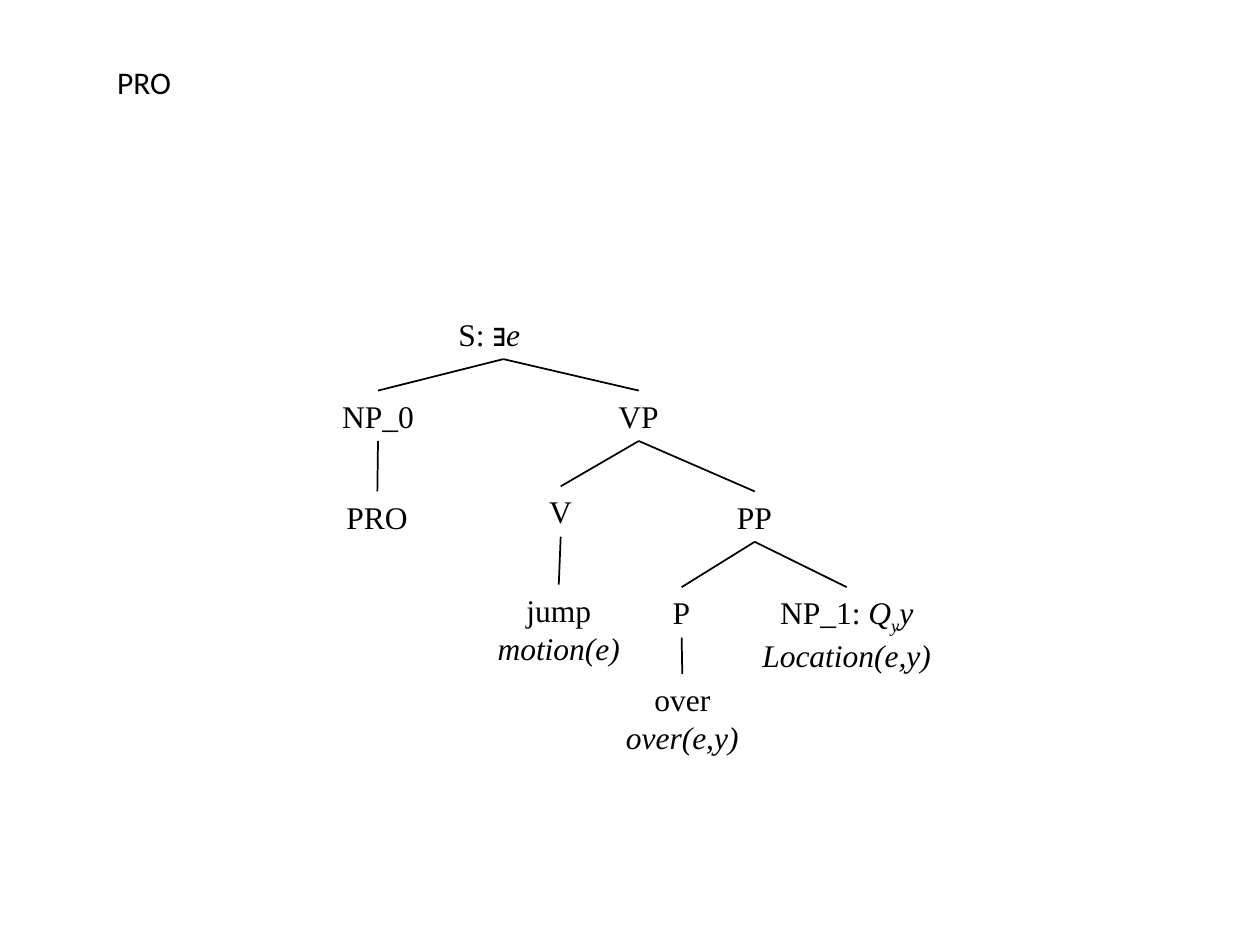
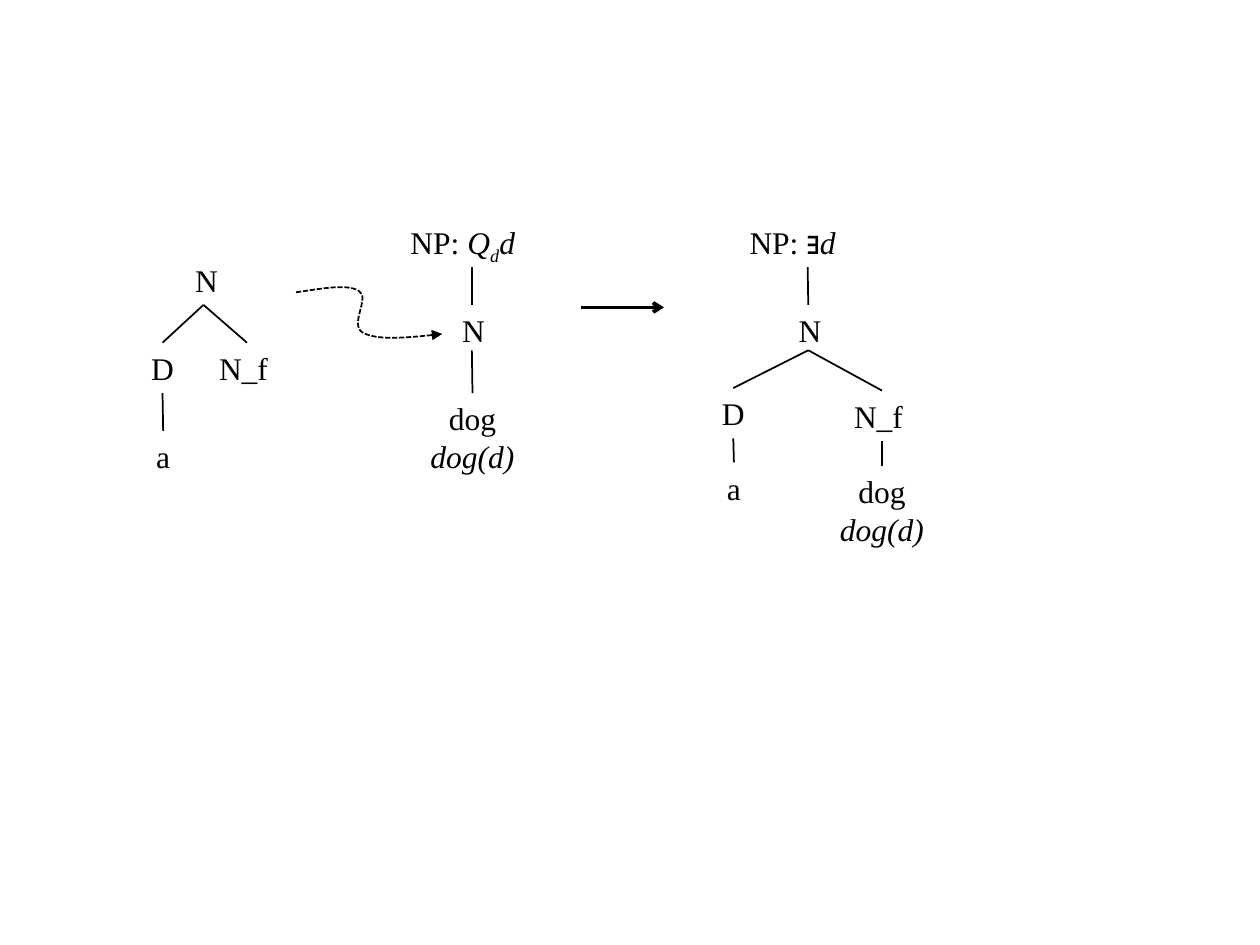
from dataclasses import dataclass
from lxml.etree import SubElement
from pptx import Presentation
from pptx.dml.color import RGBColor
from pptx.enum.dml import MSO_LINE
from pptx.enum.shapes import MSO_CONNECTOR
from pptx.enum.text import MSO_ANCHOR, MSO_AUTO_SIZE, PP_ALIGN
from pptx.oxml.ns import qn
from pptx.util import Emu, Pt

PX = 9144  # EMU in one px, 100 px to the inch


@dataclass(frozen=True)
class Theme:
    ink: RGBColor = RGBColor(0, 0, 0)
    head: str = "Calibri"
    serif: str = "Times New Roman"
    size: int = 18
    thin: int = 1
    thick: int = 2


LOOK = Theme()
LEFT, MID = PP_ALIGN.LEFT, PP_ALIGN.CENTER

# Content: a line of text is a list of (words, style) runs;
# style i is italic, s is italic subscript


def plain(word):
    return [[(word, "")]]


def gloss(word, sense):
    return [[(word, "")], [(sense, "i")]]


DOG = gloss("dog", "dog(d)")

# Nodes: name -> (align, left, top, width, height, lines)
JUMP = {
    "S": (LEFT, 354, 245, 91, 40, [[("S: ∃", ""), ("e", "i")]]),
    "NP_0": (MID, 257, 310, 86, 40, plain("NP_0")),
    "VP": (LEFT, 481, 310, 52, 40, plain("VP")),
    "PRO": (LEFT, 265, 390, 69, 40, plain("PRO")),
    "V": (LEFT, 426, 386, 38, 40, plain("V")),
    "PP": (LEFT, 575, 390, 48, 40, plain("PP")),
    "jump": (MID, 380, 464, 127, 71, gloss("jump", "motion(e)")),
    "P": (LEFT, 524, 466, 34, 40, plain("P")),
    "NP_1": (MID, 590, 466, 164, 71, [
        [("NP_1: ", ""), ("Q", "i"), ("y", "s"), ("y", "i")],
        [("Location(e,y)", "i")]]),
    "over": (MID, 482, 535, 119, 101, gloss("over", "over(e,y)")),
}
DET = {
    "N": (LEFT, 145, 202, 33, 40, plain("N")),
    "D": (LEFT, 110, 272, 38, 40, plain("D")),
    "N_f": (LEFT, 164, 272, 64, 40, plain("N_f")),
    "a": (MID, 114, 342, 31, 40, plain("a")),
}
NOUN = {
    "NP": (LEFT, 316, 172, 117, 40,
           [[("NP: ", ""), ("Q", "i"), ("d", "s"), ("d", "i")]]),
    "N": (LEFT, 357, 242, 35, 36, plain("N")),
    "dog": (MID, 327, 312, 96, 71, DOG),
}
WHOLE = {
    "NP": (LEFT, 585, 172, 112, 40, [[("NP: ∃", ""), ("d", "i")]]),
    "N": (LEFT, 624, 242, 35, 36, plain("N")),
    "D": (LEFT, 563, 308, 38, 40, plain("D")),
    "N_f": (LEFT, 668, 310, 64, 40, plain("N_f")),
    "a": (MID, 567, 367, 31, 40, plain("a")),
    "dog": (MID, 652, 370, 96, 71, DOG),
}

# Trees: nodes with the children of each parent
FIRST = [(JUMP, {"S": ["NP_0", "VP"], "NP_0": ["PRO"], "VP": ["V", "PP"],
                 "V": ["jump"], "PP": ["P", "NP_1"], "P": ["over"]})]
SECOND = [
    (DET, {"N": ["D", "N_f"], "D": ["a"]}),
    (NOUN, {"NP": ["N"], "N": ["dog"]}),
    (WHOLE, {"NP": ["N"], "N": ["D", "N_f"], "D": ["a"], "N_f": ["dog"]}),
]
TITLE = (LEFT, 83, 45, 64, 40, plain("PRO"))

# Start point, then three Bézier points for each bend
CURVE = [(235, 232), (256, 229), (276, 225), (285, 231), (294, 236),
         (277, 258), (288, 264), (299, 270), (325, 268), (351, 265)]
ARROW = (461, 244, 527, 244)


def px(*nums):
    return [Emu(round(n * PX)) for n in nums]


def write(box, node, font=LOOK.serif):
    """Place a box and fill it run by run."""
    align, *area, lines = node
    box.left, box.top, box.width, box.height = px(*area)
    frame = box.text_frame
    frame.word_wrap = False
    frame.auto_size = MSO_AUTO_SIZE.SHAPE_TO_FIT_TEXT
    frame.vertical_anchor = MSO_ANCHOR.TOP
    for i, line in enumerate(lines):
        para = frame.add_paragraph() if i else frame.paragraphs[0]
        para.alignment = align
        for words, style in line:
            run = para.add_run()
            run.text = words
            run.font.name, run.font.size = font, Pt(LOOK.size)
            run.font.color.rgb = LOOK.ink
            if style:
                run.font.italic = True
            if style == "s":
                run.font._element.set("baseline", "-25000")


def ink(shape, width=LOOK.thin, tip=None, dash=None):
    """Give a line its colour, width, dash and arrowhead, without shadow."""
    line = shape.line
    line.color.rgb, line.width = LOOK.ink, Pt(width)
    if dash:
        line.dash_style = dash
    if tip:
        SubElement(line._get_or_add_ln(), qn("a:tailEnd"), type=tip)
    SubElement(shape._element.spPr, qn("a:effectLst"))


def link(shapes, ends, **style):
    wire = shapes.add_connector(MSO_CONNECTOR.STRAIGHT, *ends)
    ink(wire, **style)
    return wire


def grow(slide, nodes, kids):
    """Draw one tree as a group of labels and branches."""
    shapes = slide.shapes.add_group_shape().shapes
    boxes = {}
    for name, node in nodes.items():
        boxes[name] = shapes.add_textbox(*px(*node[1:5]))
        write(boxes[name], node)
    for name, below in kids.items():
        top = boxes[name]
        for kid in below:
            low = boxes[kid]
            wire = link(shapes, (top.left + top.width // 2,
                                 top.top + top.height,
                                 low.left + low.width // 2, low.top))
            wire.begin_connect(top, 2)
            wire.end_connect(low, 0)


def bend(slide, points):
    """Draw a dashed curved arrow through Bézier points."""
    form = slide.shapes.build_freeform(*points[0], scale=PX)
    form.add_line_segments(points[1:], close=False)
    shape = form.convert_to_shape()
    segs = shape._element.xpath(".//a:lnTo")
    for i in range(0, len(segs), 3):
        cubic = SubElement(segs[i].getparent(), qn("a:cubicBezTo"))
        for seg in segs[i:i + 3]:
            cubic.append(seg[0])
            seg.getparent().remove(seg)
    shape.fill.background()
    ink(shape, tip="triangle", dash=MSO_LINE.SQUARE_DOT)


def main():
    deck = Presentation()
    deck.slide_width, deck.slide_height = px(1000, 750)

    # Slide 1: heading and sentence tree
    one = deck.slides.add_slide(deck.slide_layouts.get_by_name("Title Only"))
    write(one.shapes.title, TITLE, LOOK.head)
    for tree in FIRST:
        grow(one, *tree)

    # Slide 2: determiner joins noun phrase
    two = deck.slides.add_slide(deck.slide_layouts.get_by_name("Blank"))
    for tree in SECOND:
        grow(two, *tree)
    bend(two, CURVE)
    link(two.shapes, px(*ARROW), width=LOOK.thick, tip="arrow")

    deck.save("out.pptx")


if __name__ == "__main__":
    main()
